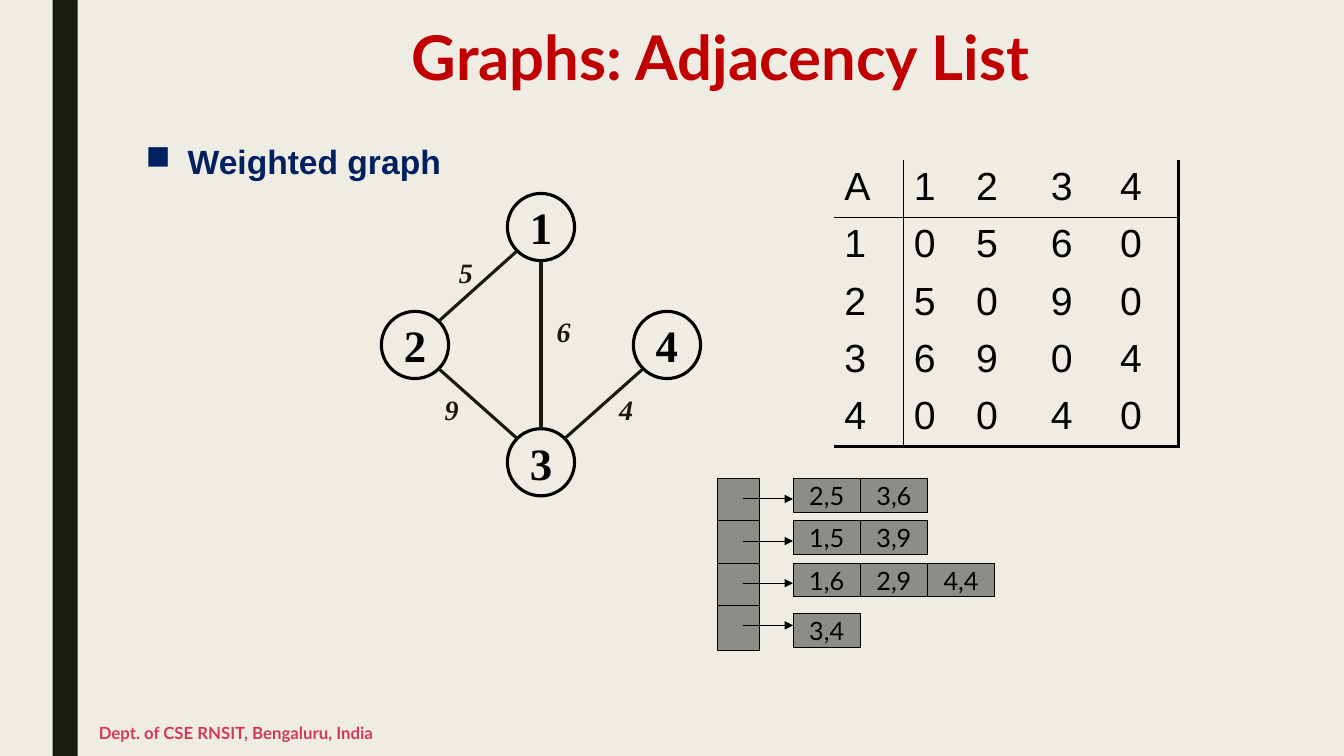
from math import hypot
from lxml.etree import SubElement
from pptx import Presentation
from pptx.dml.color import RGBColor
from pptx.enum.shapes import MSO_CONNECTOR, MSO_SHAPE
from pptx.enum.text import MSO_ANCHOR, PP_ALIGN
from pptx.oxml.ns import qn
from pptx.util import Pt

INK, BLACK, GREY = "191B0E", "000000", "8C8D86"
SERIF = "Times New Roman"


def tint(color, code):
    color.rgb = RGBColor.from_string(code)


def write(frame, text, size, face, code, bold=False, align=PP_ALIGN.LEFT):
    """Fill the first paragraph with one styled run and return the paragraph."""
    para = frame.paragraphs[0]
    para.alignment = align
    run = para.add_run()
    run.text = text
    run.font.size, run.font.name, run.font.bold = Pt(size), face, bold
    tint(run.font.color, code)
    return para


deck = Presentation()
deck.slide_width, deck.slide_height = Pt(960), Pt(540)
slide = deck.slides.add_slide(deck.slide_layouts[5])
shapes = slide.shapes
slide.background.fill.solid()
tint(slide.background.fill.fore_color, "EFEDE3")

# Title, bullet and footer
title = shapes.title
title.left, title.top, title.width, title.height = Pt(97), Pt(16.5), Pt(836), Pt(63.5)
title.text_frame.vertical_anchor = MSO_ANCHOR.TOP
para = write(title.text_frame, "Graphs: Adjacency List", 44, "Lato", "C00000", True, PP_ALIGN.CENTER)
para.line_spacing = 0.89

body = shapes.add_textbox(Pt(97), Pt(99.5), Pt(836), Pt(393))
body.text_frame.word_wrap = True
para = write(body.text_frame, "Weighted graph", 24, "Arial", "002060", True, PP_ALIGN.JUSTIFY)
para.line_spacing = 0.94
props = para._p.get_or_add_pPr()
props.set("marL", str(Pt(30)))
props.set("indent", str(Pt(-30)))
SubElement(props, qn("a:buChar"), char="■")

foot = shapes.add_textbox(Pt(63.5), Pt(507.5), Pt(494.5), Pt(32))
foot.text_frame.word_wrap = True
foot.text_frame.vertical_anchor = MSO_ANCHOR.MIDDLE
write(foot.text_frame, "Dept. of CSE RNSIT, Bengaluru, India", 12, "Lato", "D13B56", True)

bar = shapes.add_shape(MSO_SHAPE.RECTANGLE, Pt(37.5), 0, Pt(18), Pt(540))
bar.shadow.inherit = False
bar.fill.solid()
tint(bar.fill.fore_color, INK)
bar.line.fill.background()

# Graph: node centres, then edges with weight and label centre
RAD = 24
nodes = {"1": (386.4, 162.2), "2": (296.4, 246.4), "4": (476.4, 246.4), "3": (386.4, 330.2)}
edges = [("1", "2", "5", 332.6, 194.8), ("1", "3", "6", 402.5, 236.5),
         ("2", "3", "9", 322.6, 292), ("4", "3", "4", 447.1, 292)]
lines = []
for start, end, weight, x, y in edges:
    (x1, y1), (x2, y2) = nodes[start], nodes[end]
    dx, dy = (x2 > x1) - (x2 < x1), (y2 > y1) - (y2 < y1)
    gap = RAD / hypot(dx, dy)
    lines.append((x1 + dx * gap, y1 + dy * gap, x2 - dx * gap, y2 - dy * gap, INK, 2.25, False))
    label = shapes.add_textbox(Pt(x - 12), Pt(y - 15.5), Pt(24), Pt(31))
    label.text_frame.word_wrap = False
    para = write(label.text_frame, weight, 20, SERIF, INK, True, PP_ALIGN.CENTER)
    para.runs[0].font.italic = True

# Adjacency list: array cells, arrows and linked boxes
TOP, STEP = 342, 30.1
links = [["2,5", "3,6"], ["1,5", "3,9"], ["1,6", "2,9", "4,4"], ["3,4"]]
tops = [342, 372, 402.3, 438.5]
cells = []
for i, (row, top) in enumerate(zip(links, tops)):
    y = TOP + i * STEP
    cells.append((512.5, y, 30, 32.4, ""))
    cells += [(566.5 + 48 * j, top, 48, 24, text) for j, text in enumerate(row)]
    lines.append((530.5, y + 14.4, 566.5, y + 14.4, BLACK, 0.75, True))

discs = [(x - RAD, y - RAD, 2 * RAD, 2 * RAD, name) for name, (x, y) in nodes.items()]
for kind, group, size, face, width in [(MSO_SHAPE.OVAL, discs, 32, SERIF, 2.25),
                                       (MSO_SHAPE.RECTANGLE, cells, 18, "Lato", 0.75)]:
    for x, y, w, h, text in group:
        shape = shapes.add_shape(kind, Pt(x), Pt(y), Pt(w), Pt(h))
        shape.shadow.inherit = False
        shape.line.width = Pt(width)
        tint(shape.line.color, BLACK)
        if group is cells:
            shape.fill.solid()
            tint(shape.fill.fore_color, GREY)
        else:
            shape.fill.background()
        if text:
            shape.text_frame.word_wrap = False
            shape.text_frame.vertical_anchor = MSO_ANCHOR.MIDDLE
            write(shape.text_frame, text, size, face, BLACK, group is discs, PP_ALIGN.CENTER)

for x1, y1, x2, y2, code, width, arrow in lines:
    line = shapes.add_connector(MSO_CONNECTOR.STRAIGHT, Pt(x1), Pt(y1), Pt(x2), Pt(y2))
    line.line.width = Pt(width)
    tint(line.line.color, code)
    if arrow:
        SubElement(line.line._get_or_add_ln(), qn("a:tailEnd"), type="triangle")
    SubElement(line._element.spPr, qn("a:effectLst"))

# Adjacency matrix
matrix = ["A1234", "10560", "25090", "36904", "40040"]
widths = [49.5, 44.5, 53.5, 49.5, 49]
table = shapes.add_table(5, 5, Pt(596), Pt(114.5), Pt(sum(widths)), Pt(198)).table
table.first_row = table.horz_banding = False
for col, width in zip(table.columns, widths):
    col.width = Pt(width)
for r, row in enumerate(matrix):
    table.rows[r].height = Pt(39.6)
    for c, text in enumerate(row):
        cell = table.cell(r, c)
        write(cell.text_frame, text, 28, "Arial", BLACK)
        sides = {"L": c == 1, "R": {0: 1, 4: 2.25}.get(c, 0),
                 "T": r == 1, "B": {0: 1, 4: 2.25}.get(r, 0)}
        for side, width in sides.items():
            edge = SubElement(cell._tc.get_or_add_tcPr(), qn("a:ln" + side), w=str(Pt(width)))
            if width:
                fill = SubElement(edge, qn("a:solidFill"))
                SubElement(fill, qn("a:srgbClr"), val=BLACK)
            else:
                SubElement(edge, qn("a:noFill"))
        cell.fill.background()

deck.save("out.pptx")
